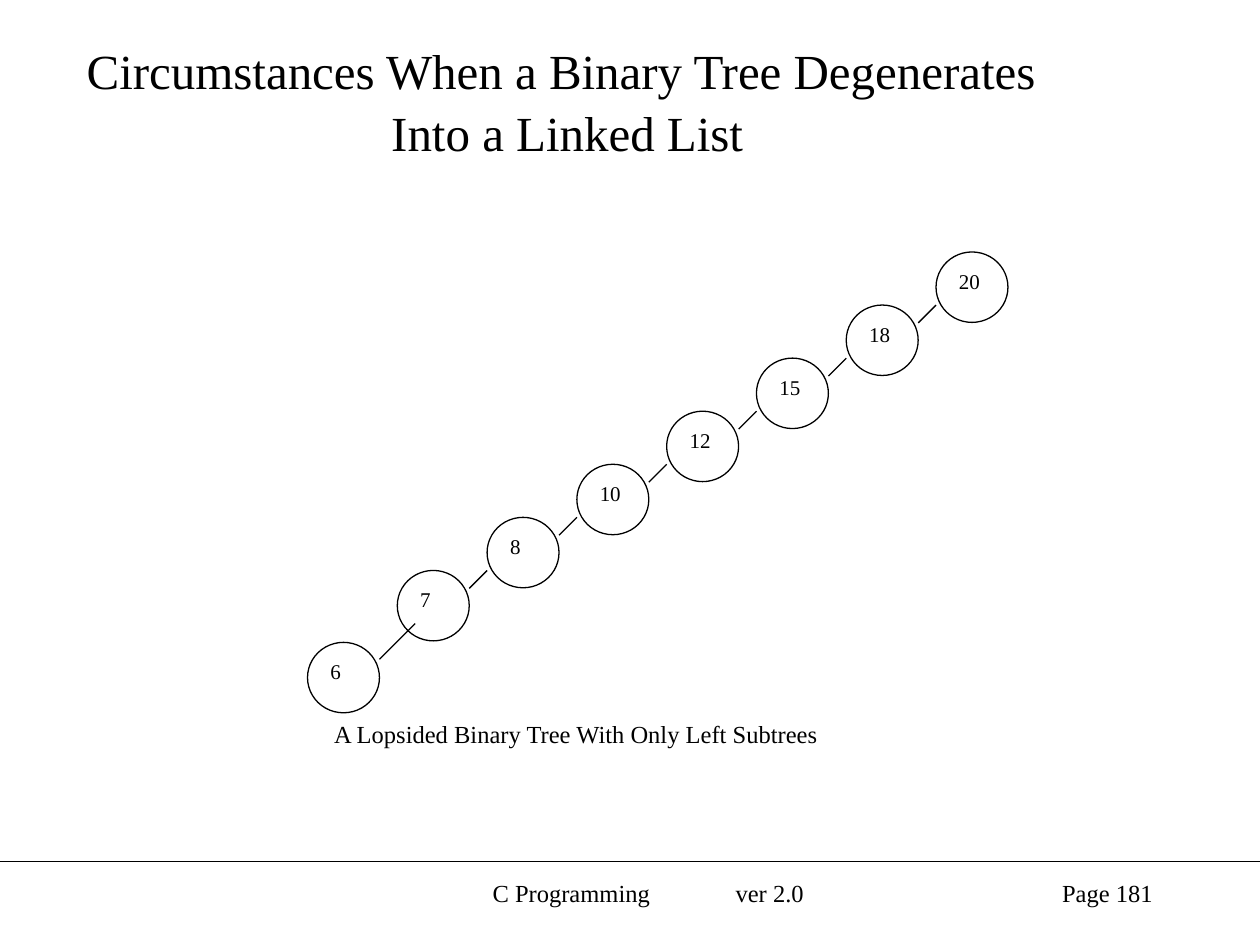
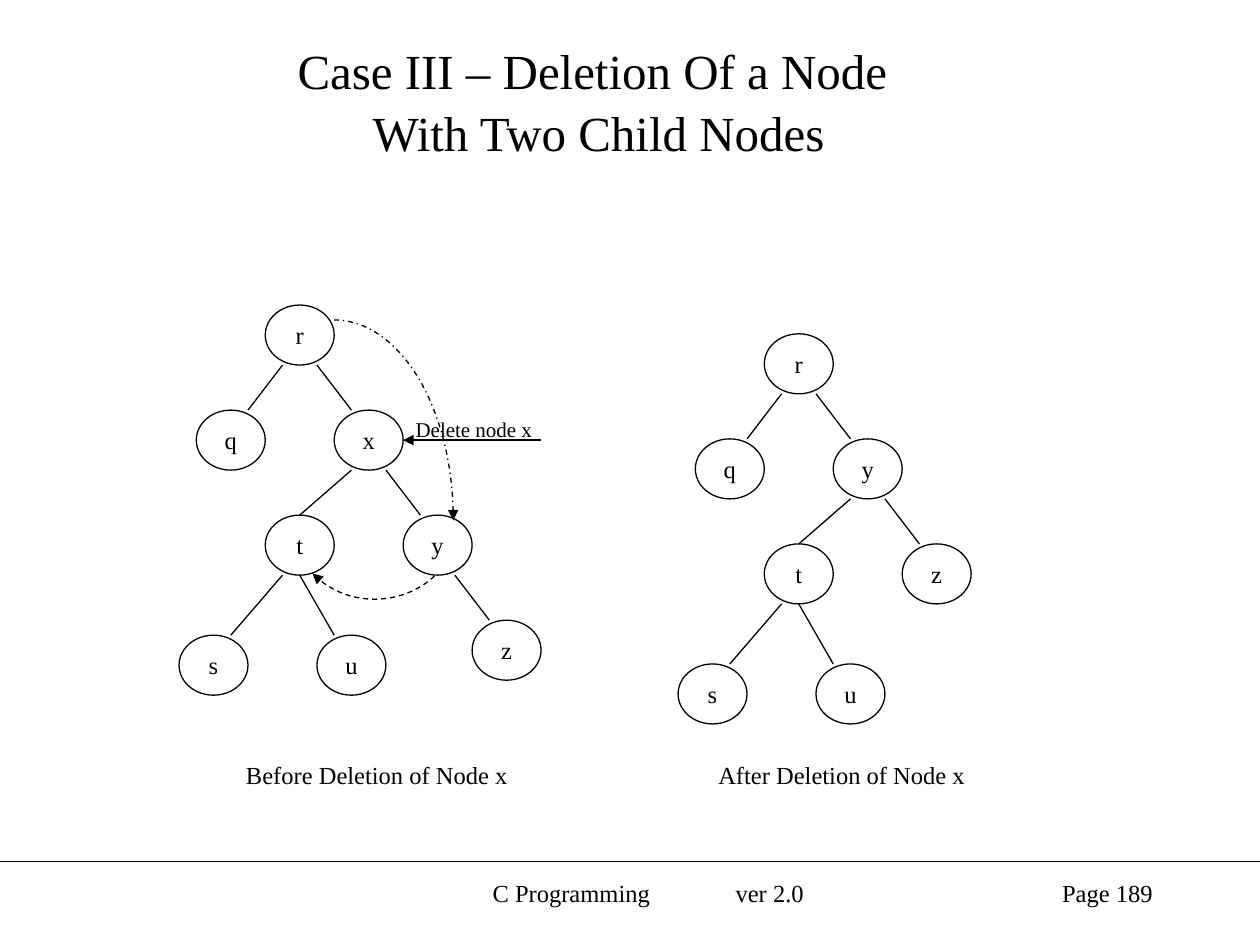
"""Build two slides about binary trees: a degenerate tree and a node deletion."""
from copy import deepcopy
from dataclasses import dataclass

from lxml import etree
from pptx import Presentation
from pptx.dml.color import RGBColor
from pptx.enum.dml import MSO_LINE
from pptx.enum.shapes import MSO_CONNECTOR, MSO_SHAPE
from pptx.enum.text import MSO_ANCHOR, MSO_AUTO_SIZE, PP_ALIGN
from pptx.oxml.ns import qn
from pptx.util import Cm, Pt

LEFT, CENTER, RIGHT = PP_ALIGN.LEFT, PP_ALIGN.CENTER, PP_ALIGN.RIGHT
TOP, MIDDLE = MSO_ANCHOR.TOP, MSO_ANCHOR.MIDDLE
NO_AUTO_SIZE = MSO_AUTO_SIZE.NONE
OVAL, RECTANGLE = MSO_SHAPE.OVAL, MSO_SHAPE.RECTANGLE
STRAIGHT = MSO_CONNECTOR.STRAIGHT
DASH, DASH_DOT = MSO_LINE.DASH, MSO_LINE.DASH_DOT

TITLE_ONLY_LAYOUT = 5
SLIDE_WIDTH, SLIDE_HEIGHT = 25.4, 19.05
CURVE_STEPS = 32

CHAIN_VALUES = ["20", "18", "15", "12", "10", "8", "7", "6"]
CHAIN_LEFT, CHAIN_TOP = 18.87, 5.08
CHAIN_STEP_X, CHAIN_STEP_Y = 1.81, 1.07
CHAIN_NODE_SIZE = (1.45, 1.42)
LAST_NODE_DROP = 0.38
CHAIN_LINK = 0.36

TREE_NODE_WIDTH, TREE_NODE_HEIGHT = 1.39, 1.21
UNIT_X, UNIT_Y = TREE_NODE_WIDTH / 4, TREE_NODE_HEIGHT / 4
NODES_BEFORE = {"r": (5, 0), "q": (1, 7), "x": (9, 7), "t": (5, 14),
                "y": (13, 14), "s": (0, 22), "u": (8, 22), "z": (17, 21)}
LINKS_BEFORE = [("r", 1, "q", 3), ("r", 3, "x", 1), ("x", 1, "t", 2), ("x", 3, "y", 1),
                ("t", 1, "s", 3), ("t", 2, "u", 1), ("y", 3, "z", 1)]
NODES_AFTER = {"r": (5, 0), "q": (1, 7), "y": (9, 7), "t": (5, 14),
               "z": (13, 14), "s": (0, 22), "u": (8, 22)}
LINKS_AFTER = [("r", 1, "q", 3), ("r", 3, "y", 1), ("y", 1, "t", 2), ("y", 3, "z", 1),
               ("t", 1, "s", 3), ("t", 2, "u", 1)]
BEFORE_ORIGIN, AFTER_ORIGIN = (3.61, 6.15), (13.67, 6.73)


@dataclass(frozen=True)
class Theme:
    """Hold the colours, font and sizes that the slides share."""
    ink: RGBColor = RGBColor(0, 0, 0)
    paper: RGBColor = RGBColor(255, 255, 255)
    font: str = "Times New Roman"
    title: int = 28
    body: int = 14
    small: int = 12
    line: float = 0.75


THEME = Theme()


def write_text(shape, text, size=THEME.body, alignment=CENTER, anchor=TOP,
               line_spacing=None, tab_stop=None):
    """Write one formatted paragraph into a shape."""
    frame = shape.text_frame
    frame.word_wrap = True
    frame.auto_size = NO_AUTO_SIZE
    frame.vertical_anchor = anchor
    paragraph = frame.paragraphs[0]
    paragraph.text = text
    paragraph.alignment = alignment
    if line_spacing:
        paragraph.line_spacing = line_spacing
    if tab_stop:
        tabs = etree.SubElement(paragraph._p.get_or_add_pPr(), qn("a:tabLst"))
        etree.SubElement(tabs, qn("a:tab"), pos=str(Cm(tab_stop)), algn="l")
    for run in paragraph.runs:
        run.font.name = THEME.font
        run.font.size = Pt(size)
        run.font.color.rgb = THEME.ink
    for line_break in paragraph._p.findall(qn("a:br")):
        line_break.insert(0, deepcopy(paragraph.runs[0]._r.rPr))


def style_line(line):
    """Give an outline the shared colour and width."""
    line.color.rgb = THEME.ink
    line.width = Pt(THEME.line)


def add_arrowhead(shape):
    """Put a triangle at the end of a line."""
    outline = shape._element.spPr.find(qn("a:ln"))
    etree.SubElement(outline, qn("a:tailEnd"), type="triangle")


def add_line(slide, start, end, arrow=False):
    """Draw a straight line between two points."""
    connector = slide.shapes.add_connector(STRAIGHT, *map(Cm, (*start, *end)))
    style_line(connector.line)
    if arrow:
        add_arrowhead(connector)
    etree.SubElement(connector._element.spPr, qn("a:effectLst"))
    return connector


def add_curve(slide, controls, dash):
    """Draw a dashed cubic curve that ends in an arrowhead."""
    points = []
    for step in range(CURVE_STEPS + 1):
        t = step / CURVE_STEPS
        weights = ((1 - t) ** 3, 3 * t * (1 - t) ** 2, 3 * t ** 2 * (1 - t), t ** 3)
        points.append([Cm(sum(w * v for w, v in zip(weights, axis)))
                       for axis in zip(*controls)])
    builder = slide.shapes.build_freeform(*points[0])
    builder.add_line_segments(points[1:], close=False)
    curve = builder.convert_to_shape()
    curve.shadow.inherit = False
    curve.fill.background()
    style_line(curve.line)
    curve.line.dash_style = dash
    add_arrowhead(curve)


def add_box(slide, kind, box, text, outlined=False, **text_format):
    """Add a white shape with text."""
    shape = slide.shapes.add_shape(kind, *map(Cm, box))
    shape.shadow.inherit = False
    shape.fill.solid()
    shape.fill.fore_color.rgb = THEME.paper
    if outlined:
        style_line(shape.line)
    else:
        shape.line.fill.background()
    write_text(shape, text, **text_format)
    return shape


def add_footer(slide, page):
    """Draw the footer rule, the course name and the page number."""
    add_line(slide, (0, 17.36), (SLIDE_WIDTH, 17.36))
    course = slide.shapes.add_textbox(Cm(9.68), Cm(17.58), Cm(7.7), Cm(1.27))
    write_text(course, "C Programming\tver 2.0", alignment=LEFT, tab_stop=4.9)
    number = slide.shapes.add_textbox(Cm(18.21), Cm(17.58), Cm(5.28), Cm(1.27))
    write_text(number, f"Page {page}", alignment=RIGHT)


def add_slide(presentation, title, title_left, page):
    """Add a slide with its title and footer."""
    slide = presentation.slides.add_slide(presentation.slide_layouts[TITLE_ONLY_LAYOUT])
    placeholder = slide.shapes.title
    placeholder.left, placeholder.top = Cm(title_left), Cm(0.64)
    placeholder.width, placeholder.height = Cm(21.59), Cm(2.74)
    write_text(placeholder, title, size=THEME.title, anchor=MIDDLE, line_spacing=1.05)
    add_footer(slide, page)
    return slide


def add_chain(slide):
    """Draw the descending chain of left children."""
    last = len(CHAIN_VALUES) - 1
    for index, value in enumerate(CHAIN_VALUES):
        left = CHAIN_LEFT - index * CHAIN_STEP_X
        top = CHAIN_TOP + index * CHAIN_STEP_Y
        node_top = top + LAST_NODE_DROP if index == last else top
        add_box(slide, OVAL, (left, node_top, *CHAIN_NODE_SIZE), value,
                outlined=True, size=THEME.small, alignment=LEFT)
        if index < last:
            reach = CHAIN_LINK if index == last - 1 else 0
            link_top = top + CHAIN_STEP_Y
            add_line(slide, (left + reach, link_top),
                     (left - CHAIN_LINK, link_top + CHAIN_LINK + reach))


def grid_point(origin, column, row):
    """Turn a place on the tree grid into centimetres."""
    return origin[0] + column * UNIT_X, origin[1] + row * UNIT_Y


def add_tree(slide, origin, nodes, links):
    """Draw the nodes of a tree and the lines between them."""
    shapes = {}
    for name, place in nodes.items():
        box = (*grid_point(origin, *place), TREE_NODE_WIDTH, TREE_NODE_HEIGHT)
        shapes[name] = add_box(slide, OVAL, box, name, outlined=True)
    for parent, parent_offset, child, child_offset in links:
        parent_column, parent_row = nodes[parent]
        child_column, child_row = nodes[child]
        link = add_line(slide,
                        grid_point(origin, parent_column + parent_offset, parent_row + 4),
                        grid_point(origin, child_column + child_offset, child_row))
        if child_offset == 2:
            link.end_connect(shapes[child], 0)


def build_lopsided_slide(presentation):
    """Build the slide on a tree that becomes a list."""
    slide = add_slide(presentation, "Circumstances When a Binary Tree Degenerates "
                      "\vInto a Linked List", 0.64, 181)
    add_box(slide, RECTANGLE, (4.01, 14.38, 15.21, 1.07),
            "A Lopsided Binary Tree With Only Left Subtrees")
    add_chain(slide)


def build_deletion_slide(presentation):
    """Build the slide on deleting a node with two children."""
    slide = add_slide(presentation, "Case III – Deletion Of a Node "
                      "\vWith Two Child Nodes", 1.27, 189)
    label_box = (*grid_point(BEFORE_ORIGIN, 13, 7), 10 * UNIT_X, 2 * UNIT_Y)
    add_box(slide, RECTANGLE, label_box, "Delete node x", size=THEME.small, alignment=LEFT)
    add_tree(slide, BEFORE_ORIGIN, NODES_BEFORE, LINKS_BEFORE)
    add_line(slide, grid_point(BEFORE_ORIGIN, 21, 9), grid_point(BEFORE_ORIGIN, 13, 9),
             arrow=True)
    add_curve(slide, [(6.73, 6.45), (8.05, 6.45), (9.14, 8.2), (9.14, 10.49)], DASH_DOT)
    add_curve(slide, [(8.76, 11.61), (8.13, 12.22), (6.99, 12.27), (6.3, 11.56)], DASH)
    add_tree(slide, AFTER_ORIGIN, NODES_AFTER, LINKS_AFTER)
    for left, moment in ((3.61, "Before"), (12.98, "After")):
        add_box(slide, RECTANGLE, (left, 15.19, 7.98, 0.91), f"{moment} Deletion of Node x")


def main():
    """Build and save the presentation."""
    presentation = Presentation()
    presentation.slide_width = Cm(SLIDE_WIDTH)
    presentation.slide_height = Cm(SLIDE_HEIGHT)
    build_lopsided_slide(presentation)
    build_deletion_slide(presentation)
    presentation.save("out.pptx")


if __name__ == "__main__":
    main()
